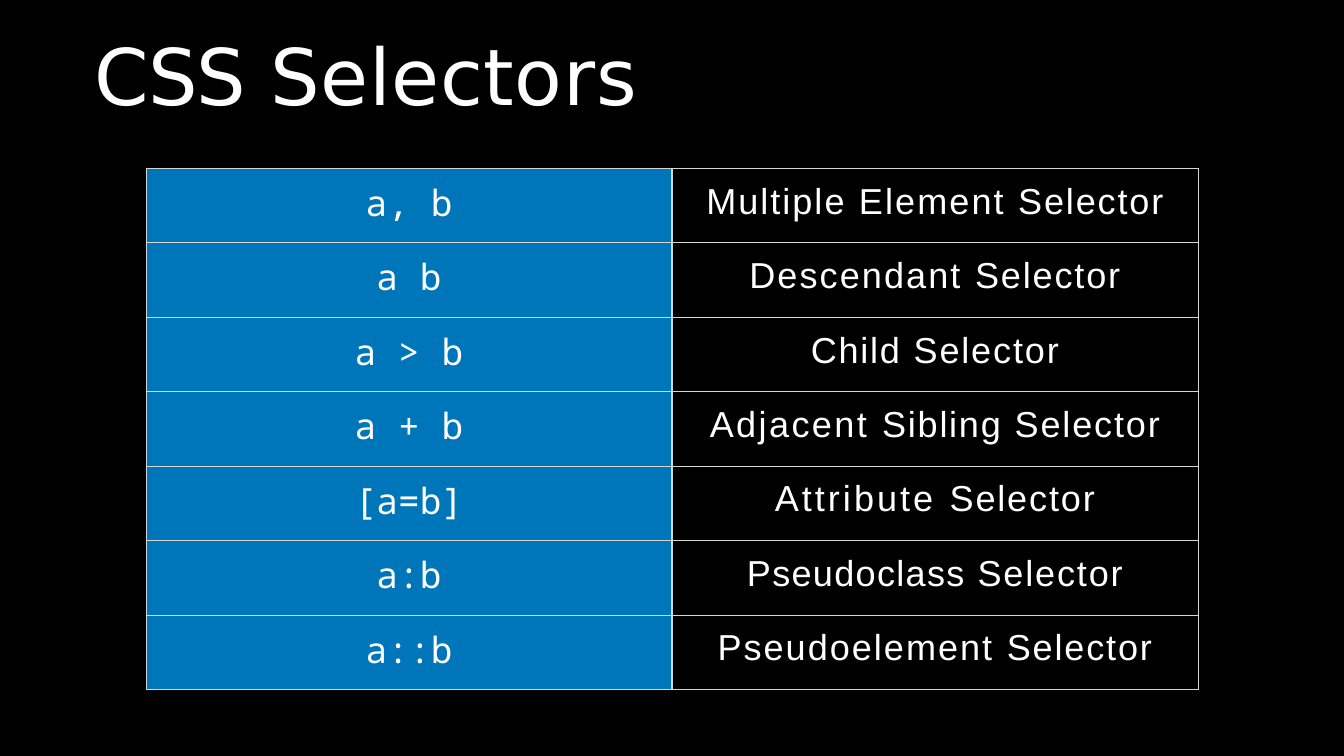
from pptx import Presentation
from pptx.dml.color import RGBColor
from pptx.enum.text import MSO_ANCHOR, MSO_AUTO_SIZE, PP_ALIGN
from pptx.oxml import parse_xml
from pptx.oxml.ns import nsdecls
from pptx.util import Inches, Pt

LEFT, CENTER = PP_ALIGN.LEFT, PP_ALIGN.CENTER
TOP = MSO_ANCHOR.TOP
GROW = MSO_AUTO_SIZE.SHAPE_TO_FIT_TEXT

# Each piece of text is paired with its letter spacing in points.
TITLE = [("CSS ", -1.2), ("Selectors", 0.8)]
ENDING = ("Selector", 2.2)
ROWS = [
    ("a, b", [("Multiple ", 2.4), ("Element ", 2.5)]),
    ("a b", [("Descendant ", 2.5)]),
    ("a > b", [("Child ", 2.1)]),
    ("a + b", [("Adjacent ", 2.9), ("Sibling ", 2.1)]),
    ("[a=b]", [("Attribute ", 3.6)]),
    ("a:b", [("Pseudoclass ", 1.6)]),
    ("a::b", [("Pseudoelement ", 2.4)]),
]
COLORS = {"black": "000000", "white": "FFFFFF", "blue": "0076BA", "line": "D6D6D6"}
# Font, fill and top margin of each column
COLUMNS = [("Noto Sans Mono", "blue", 0.16), ("Arial", "black", 0.22)]
THIN, THICK = 1, 2.25


def color(name):
    return RGBColor.from_string(COLORS[name])


def write(frame, pieces, font, size, align):
    para = frame.paragraphs[0]
    para.alignment = align
    for text, gap in pieces:
        run = para.add_run()
        run.text = text
        run.font.name = font
        run.font.size = Pt(size)
        run.font.bold = False
        run.font.color.rgb = color("white")
        run.font._element.set("spc", str(round(gap * 100)))


def border(cell, widths):
    """Draw the cell's left, right, top and bottom lines."""
    props = cell._tc.get_or_add_tcPr()
    for side, width in zip("LRTB", widths):
        props.append(parse_xml(
            f'<a:ln{side} {nsdecls("a")} w="{Pt(width)}"><a:solidFill>'
            f'<a:srgbClr val="{COLORS["line"]}"/></a:solidFill></a:ln{side}>'))


def add_title(slide):
    title = slide.shapes.title
    title.left, title.top = Inches(1.55), Inches(0.43)
    title.width, title.height = Inches(9.01), Inches(1.57)
    frame = title.text_frame
    frame.margin_left = frame.margin_right = frame.margin_bottom = 0
    frame.margin_top = Inches(0.02)
    frame.vertical_anchor = TOP
    frame.auto_size = GROW
    write(frame, TITLE, "DejaVu Sans", 92, LEFT)


def add_grid(slide):
    table = slide.shapes.add_table(
        len(ROWS), len(COLUMNS), Inches(2.39), Inches(2.75),
        Inches(17.21), Inches(8.53)).table
    table.first_row = table.horz_banding = False
    for r, (code, name) in enumerate(ROWS):
        texts = [[(code, 0.2)], name + [ENDING]]
        for c, (font, fill, margin) in enumerate(COLUMNS):
            cell = table.cell(r, c)
            cell.margin_left = cell.margin_right = cell.margin_bottom = 0
            cell.margin_top = Inches(margin)
            cell.vertical_anchor = TOP
            sides = (THIN, THICK) if c == 0 else (THICK, THIN)
            border(cell, sides + (THIN, THIN))
            cell.fill.solid()
            cell.fill.fore_color.rgb = color(fill)
            write(cell.text_frame, texts[c], font, 42.5, CENTER)


def main():
    deck = Presentation()
    deck.slide_width, deck.slide_height = Inches(21.99), Inches(12.37)
    slide = deck.slides.add_slide(deck.slide_layouts[5])
    slide.background.fill.solid()
    slide.background.fill.fore_color.rgb = color("black")
    add_title(slide)
    add_grid(slide)
    deck.save("out.pptx")


if __name__ == "__main__":
    main()
